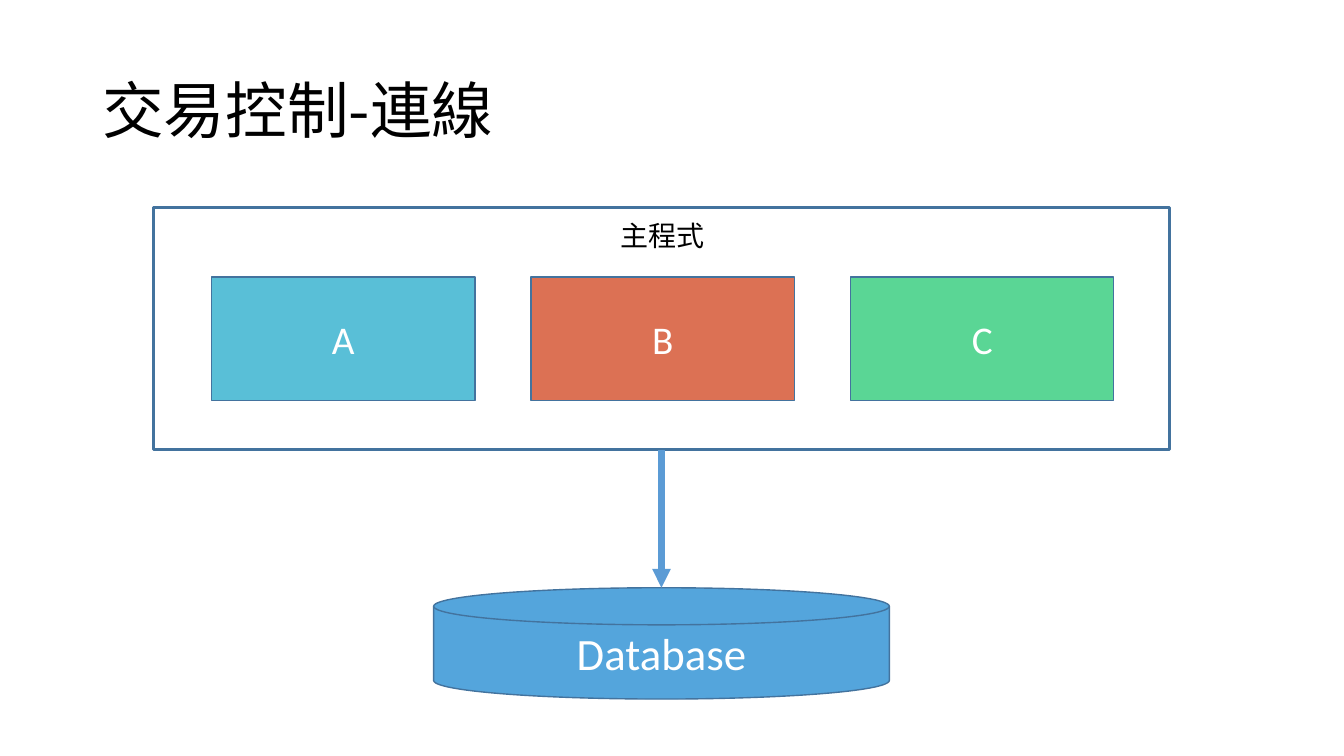
from pptx import Presentation
from pptx.dml.color import RGBColor
from pptx.enum.shapes import MSO_CONNECTOR, MSO_SHAPE as SHAPE
from pptx.enum.text import MSO_ANCHOR as ANCHOR, PP_ALIGN as ALIGN
from pptx.oxml.ns import qn
from pptx.util import Pt
from lxml import etree

BLACK = RGBColor(0x00, 0x00, 0x00)
WHITE = RGBColor(0xFF, 0xFF, 0xFF)
OUTLINE = RGBColor(0x43, 0x73, 0x9E)
ARROW = RGBColor(0x5B, 0x9B, 0xD5)
CYAN = RGBColor(0x59, 0xBF, 0xD7)
ORANGE = RGBColor(0xDC, 0x71, 0x54)
GREEN = RGBColor(0x5A, 0xD6, 0x95)
BLUE = RGBColor(0x54, 0xA5, 0xDC)

LATIN = "Calibri"
CJK = "Noto Sans CJK SC"

CENTER_X = 472.5
MODULE_W, MODULE_STEP = 188, 228.2


def write(sp, text, size, font=LATIN, color=WHITE, align=ALIGN.CENTER,
          anchor=ANCHOR.MIDDLE, spacing=None):
    tf = sp.text_frame
    tf.word_wrap = True
    tf.vertical_anchor = anchor
    p = tf.paragraphs[0]
    p.alignment = align
    p.line_spacing = spacing
    r = p.add_run()
    r.text = text
    r.font.size = Pt(size)
    r.font.name = font
    r.font.color.rgb = color
    # East Asian characters take their own typeface entry
    ea = etree.SubElement(r.font._element, qn("a:ea"))
    ea.set("typeface", font)


def add_label(s, x, y, w, h, text, size, **fmt):
    sp = s.shapes.add_textbox(Pt(x), Pt(y), Pt(w), Pt(h))
    write(sp, text, size, font=CJK, color=BLACK, align=ALIGN.LEFT, **fmt)


def add_box(s, kind, x, y, w, h, fill=None, line_width=1):
    sp = s.shapes.add_shape(kind, Pt(x), Pt(y), Pt(w), Pt(h))
    sp.shadow.inherit = False
    if fill is None:
        sp.fill.background()
    else:
        sp.fill.solid()
        sp.fill.fore_color.rgb = fill
    sp.line.color.rgb = OUTLINE
    sp.line.width = Pt(line_width)
    return sp


def add_arrow(s, source, x, y1, y2):
    cn = s.shapes.add_connector(MSO_CONNECTOR.STRAIGHT,
                                Pt(x), Pt(y1), Pt(x), Pt(y2))
    cn.begin_connect(source, 2)
    cn.line.color.rgb = ARROW
    cn.line.width = Pt(4.5)
    etree.SubElement(cn.line._get_or_add_ln(), qn("a:tailEnd"), type="triangle")
    etree.SubElement(cn._element.spPr, qn("a:effectLst"))


def main():
    prs = Presentation()
    prs.slide_width, prs.slide_height = Pt(960), Pt(540)
    s = prs.slides.add_slide(prs.slide_layouts[6])

    # Title
    add_label(s, 66, 28.8, 828, 104.4, "交易控制-連線", 44, spacing=0.9)

    # Program modules
    for i, (name, fill) in enumerate([("A", CYAN), ("B", ORANGE), ("C", GREEN)]):
        module = add_box(s, SHAPE.FLOWCHART_PROCESS, 151.2 + i * MODULE_STEP, 198,
                         MODULE_W, 88, fill)
        write(module, name, 28)

    # Main program frame
    program = add_box(s, SHAPE.RECTANGLE, CENTER_X - 363, 148.3, 726, 173,
                      line_width=2.25)

    # Database
    database = add_box(s, SHAPE.FLOWCHART_MAGNETIC_DISK, CENTER_X - 162.75, 419.8,
                       325.5, 79.5, BLUE)
    write(database, "Database", 32)

    # Connection and frame caption
    add_arrow(s, program, CENTER_X, 321.3, 419.8)
    add_label(s, 436.3, 152.6, 75.6, 31.5, "主程式", 20, anchor=ANCHOR.TOP)

    prs.save("out.pptx")


if __name__ == "__main__":
    main()
